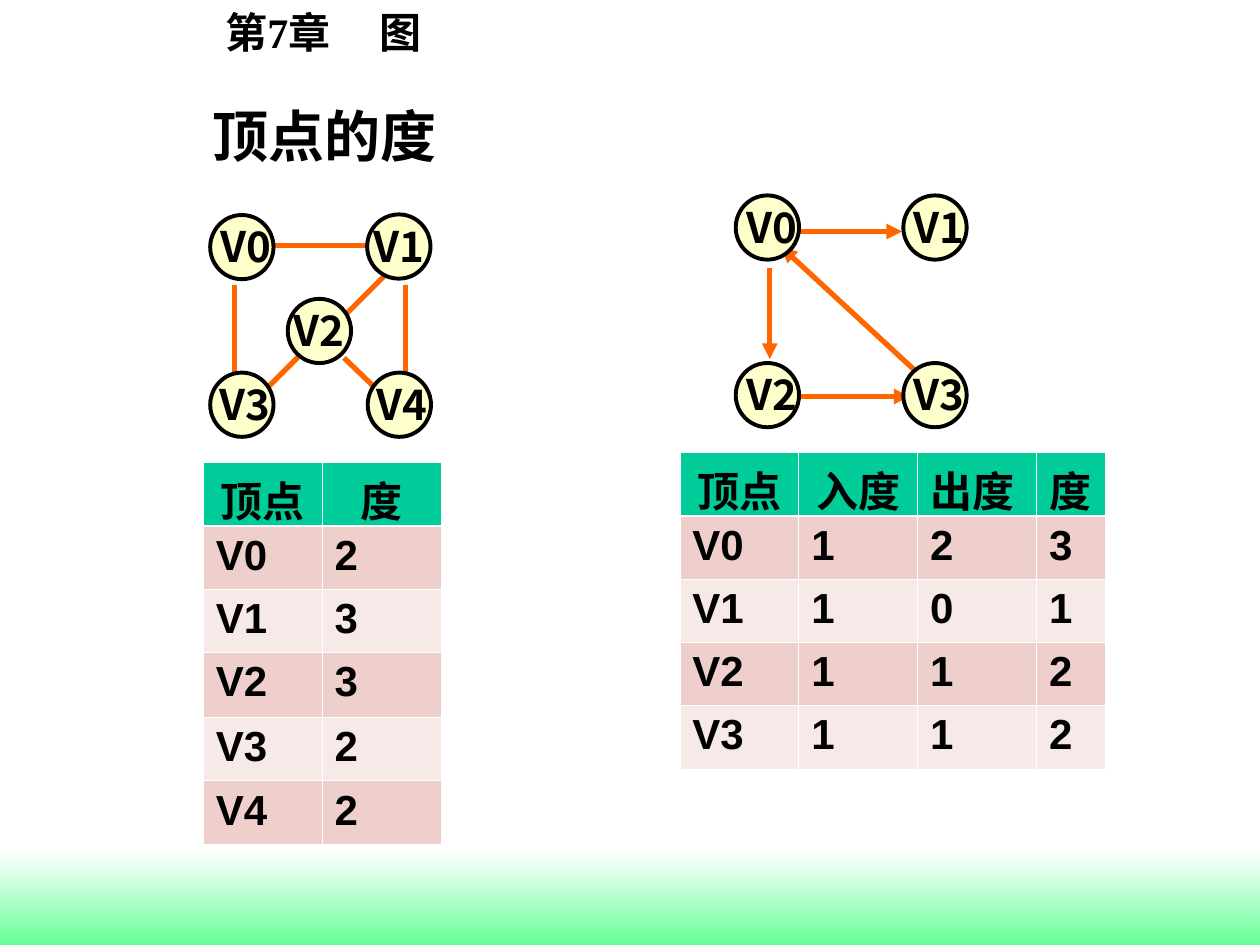
from lxml import etree
from pptx import Presentation
from pptx import util as u
from pptx.dml import color
from pptx.enum import shapes, text
from pptx.oxml import ns

Pt = u.Pt
CJK = "Noto Sans CJK SC"
SERIF = "Times New Roman"


def rgb(code):
    return color.RGBColor.from_string(code)


def sub(parent, tag, **attrs):
    return etree.SubElement(parent, ns.qn(tag), **attrs)


class Deck:
    ink, edge, disc, head = "000000", "FF6600", "FFFFCC", "00CC99"
    rule, bands = "FFFFFF", ("EFCFCC", "F7E9E7")

    def __init__(self, wide, high):
        self.prs = Presentation()
        self.prs.slide_width, self.prs.slide_height = Pt(wide), Pt(high)
        self.slide = self.prs.slides.add_slide(self.prs.slide_layouts[6])
        self.items = self.slide.shapes

    def style(self, para, size, face):
        font = para.font
        font.size, font.bold, font.name = Pt(size), True, face
        font.color.rgb = rgb(self.ink)
        for run in para.runs:
            sub(run._r.get_or_add_rPr(), "a:ea", typeface=CJK)

    def label(self, words, box, size, face, left=7.2, wrap=True, tab=None, before=None):
        frame = self.items.add_textbox(*map(Pt, box)).text_frame
        frame.word_wrap = wrap
        frame.auto_size = text.MSO_AUTO_SIZE.SHAPE_TO_FIT_TEXT
        frame.margin_left = Pt(left)
        para = frame.paragraphs[0]
        para.text = words
        if tab:
            stops = sub(para._p.get_or_add_pPr(), "a:tabLst")
            sub(stops, "a:tab", pos=str(Pt(tab)), algn="l")
        self.style(para, size, face)

    def band(self, box, top, foot):
        bar = self.items.add_shape(shapes.MSO_SHAPE.RECTANGLE, *map(Pt, box))
        bar.shadow.inherit = False
        bar.line.fill.background()
        bar.fill.gradient()
        bar.fill.gradient_angle = 270
        for stop, code in zip(bar.fill.gradient_stops, (top, foot)):
            stop.color.rgb = rgb(code)

    def link(self, ends, arrow=False):
        line = self.items.add_connector(shapes.MSO_CONNECTOR.STRAIGHT, *map(Pt, ends))
        line.line.color.rgb = rgb(self.edge)
        line.line.width = Pt(3)
        if arrow:
            sub(line.line._get_or_add_ln(), "a:tailEnd", type="triangle")
        sub(line._element.spPr, "a:effectLst")

    def node(self, name, x, y, shift):
        wide, high = 36.2, 36.7
        box = (x - wide / 2, y - high / 2, wide, high)
        ring = self.items.add_shape(shapes.MSO_SHAPE.OVAL, *map(Pt, box))
        ring.shadow.inherit = False
        ring.fill.solid()
        ring.fill.fore_color.rgb = rgb(self.disc)
        ring.line.color.rgb = rgb(self.ink)
        ring.line.width = Pt(2.25)
        # The wider left inset sets the name slightly to the right
        self.label(name, (x - shift, y - 18.5, 51, 36), 24, CJK, left=9.4)

    def cell(self, cell, words, row, mid):
        cell.text = words
        para = cell.text_frame.paragraphs[0]
        if mid:
            para.alignment = text.PP_ALIGN.CENTER
        self.style(para, 24, "Arial")
        props = cell._tc.get_or_add_tcPr()
        for side in "LRTB":
            thick = (row, side) in ((0, "B"), (1, "T"))
            line = sub(props, f"a:ln{side}", w=str(Pt(1.47 if thick else 0.45)))
            sub(sub(line, "a:solidFill"), "a:srgbClr", val=self.rule)
        cell.fill.solid()
        cell.fill.fore_color.rgb = rgb(self.bands[(row - 1) % 2] if row else self.head)

    def table(self, left, top, cols, highs, rows):
        size = (left, top, sum(cols), sum(highs))
        grid = self.items.add_table(len(rows), len(cols), *map(Pt, size)).table
        grid.first_row = grid.horz_banding = False
        for col, wide in zip(grid.columns, cols):
            col.width = Pt(wide)
        for r, row in enumerate(rows):
            grid.rows[r].height = Pt(highs[r])
            for c, words in enumerate(row):
                self.cell(grid.cell(r, c), words, r, r == 0 and c < 2)


def main():
    deck = Deck(720, 540)

    # Footer band and chapter heading
    deck.band((0, 486, 720, 54), "FFFFFF", "66FF99")
    deck.label("第7章\t图", (121.7, 0, 131.8, 36), 24, SERIF, tab=88)

    # Undirected graph
    for ends in (
        (134, 162.7, 134, 214.6), (155.5, 140.4, 215.3, 140.4),
        (231.8, 162.7, 231.8, 214.6), (172.8, 201.6, 151.2, 223.2),
        (219.6, 157.7, 198, 179.3), (196.6, 204.5, 215.3, 222.5),
    ):
        deck.link(ends)
    for name, x, y, shift in (
        ("V0", 138.2, 141.2, 21.6), ("V4", 228.2, 231.3, 22.3),
        ("V3", 138.2, 231.3, 22.3), ("V1", 227.9, 140.9, 24.1),
        ("V2", 182.5, 189.1, 24.1),
    ):
        deck.node(name, x, y, shift)

    # Directed graph
    for ends in (
        (439.9, 153.4, 439.9, 205.2), (456.5, 226.6, 519.8, 226.6),
        (456.5, 132.3, 515.5, 132.3), (530.6, 218.9, 446.4, 141.1),
    ):
        deck.link(ends, arrow=True)
    for i in range(4):
        deck.node(f"V{i}", 438.5 + 95.8 * (i % 2), 130 + 95.8 * (i // 2), 21.6)

    # Degree tables
    deck.table(388.5, 258.7, (67.9, 67.9, 68.1, 39.3), [36.15] * 5, (
        ("顶点", "入度", "出度", "度"),
        ("V0", "1", "2", "3"),
        ("V1", "1", "0", "1"),
        ("V2", "1", "1", "2"),
        ("V3", "1", "1", "2"),
    ))
    deck.table(116.2, 264.4, (67.9, 67.9), (36.1, 36.1, 36.1, 37.4, 36.1, 36.1), (
        ("顶点", "度"), ("V0", "2"), ("V1", "3"),
        ("V2", "3"), ("V3", "2"), ("V4", "2"),
    ))

    # Slide title
    deck.label("顶点的度", (114.5, 54.7, 142.6, 46.1), 32, SERIF, wrap=False)
    deck.prs.save("out.pptx")


if __name__ == "__main__":
    main()
